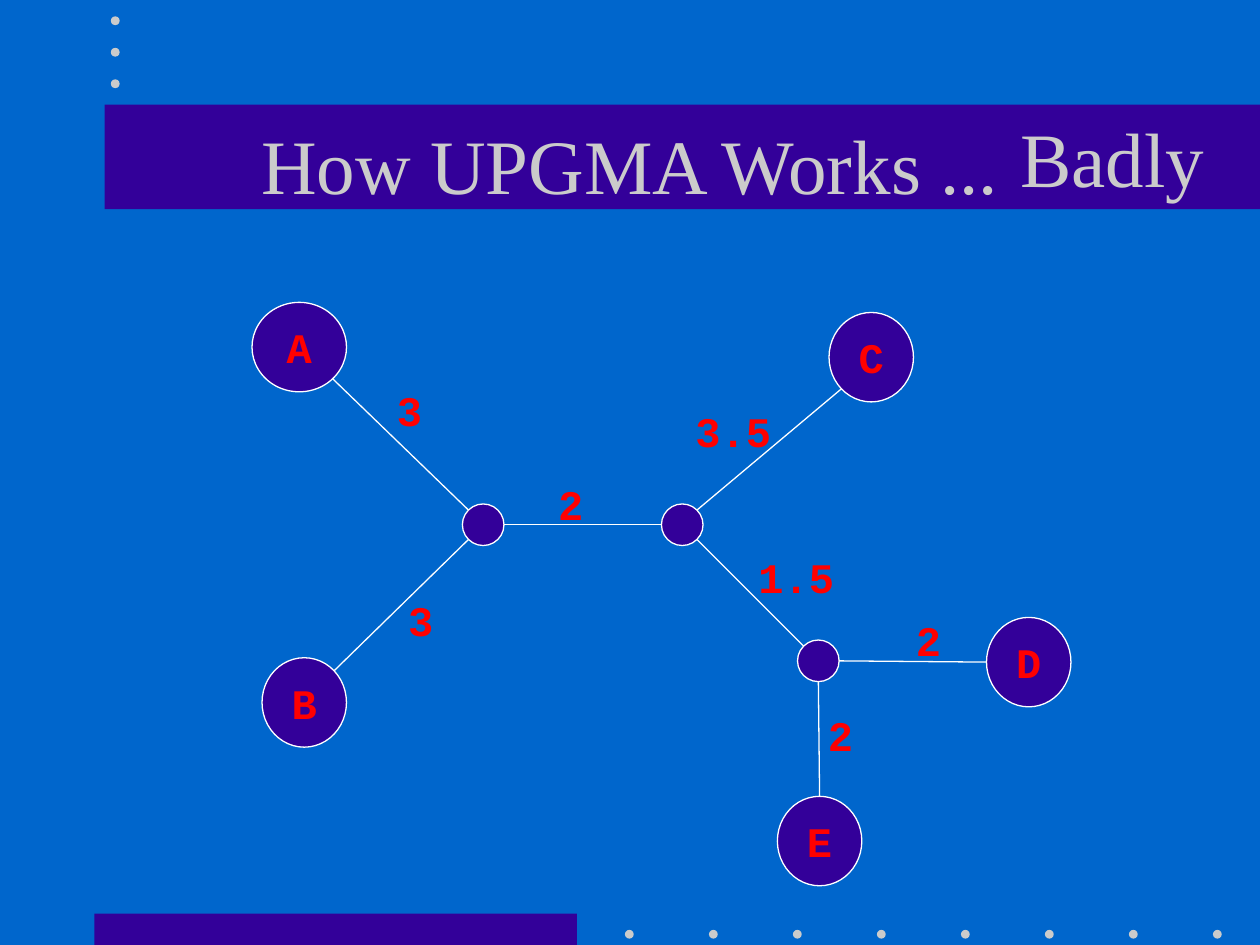
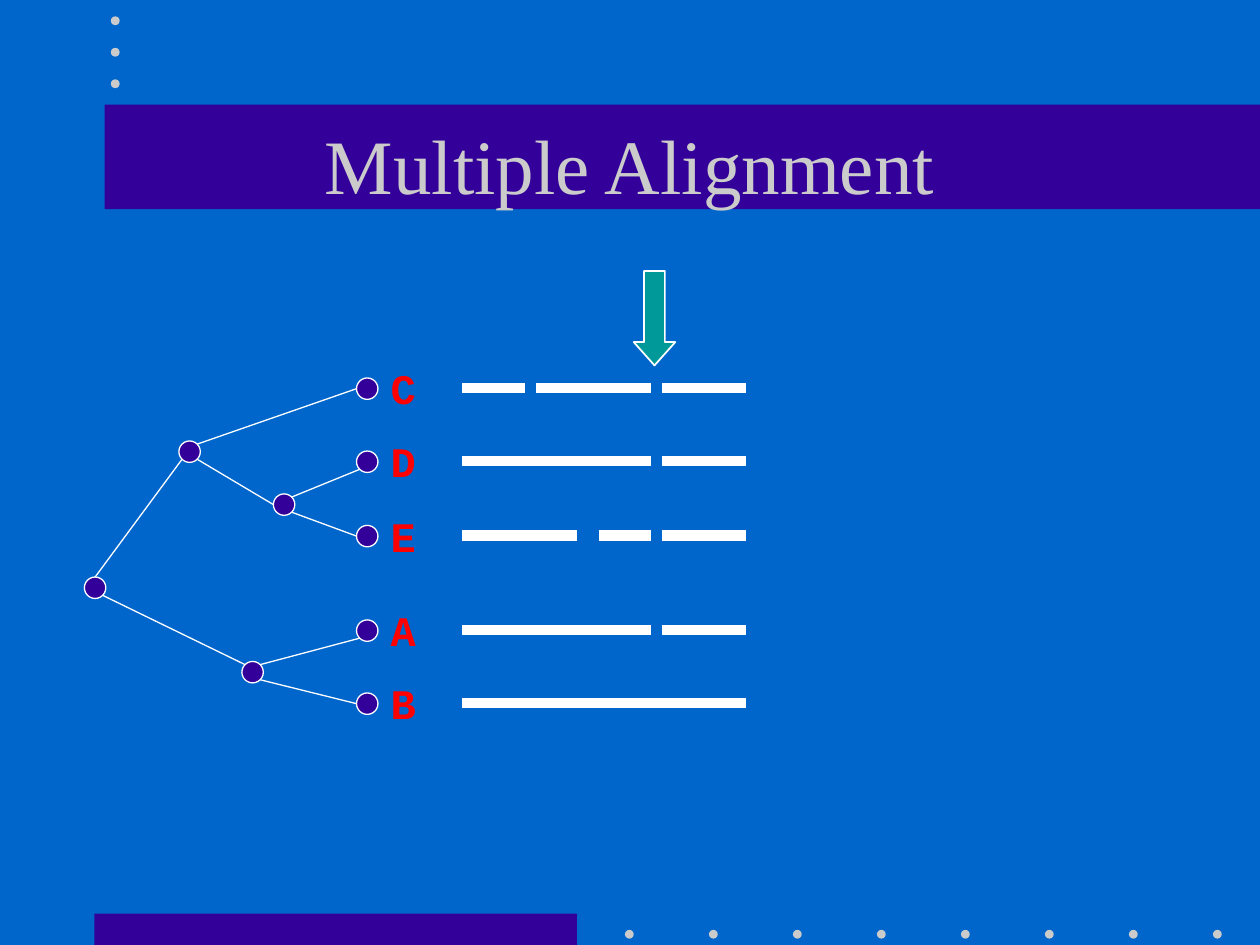
from math import cos, pi, sin

from lxml import etree
from pptx import Presentation
from pptx.dml.color import RGBColor
from pptx.enum.shapes import MSO_CONNECTOR, MSO_SHAPE
from pptx.enum.text import MSO_ANCHOR, PP_ALIGN
from pptx.oxml.ns import qn
from pptx.util import Inches, Pt

BLUE = RGBColor(0x00, 0x66, 0xCC)
PURPLE = RGBColor(0x33, 0x00, 0x99)
GREY = RGBColor(0xCB, 0xCB, 0xCB)
RED = RGBColor(0xFF, 0x00, 0x00)
WHITE = RGBColor(0xFF, 0xFF, 0xFF)
TEAL = RGBColor(0x00, 0x99, 0x99)

RECT = MSO_SHAPE.RECTANGLE
OVAL = MSO_SHAPE.OVAL
NODE = MSO_SHAPE.FLOWCHART_CONNECTOR
ARROW = MSO_SHAPE.DOWN_ARROW
STRAIGHT = MSO_CONNECTOR.STRAIGHT
MIDDLE, TOP = MSO_ANCHOR.MIDDLE, MSO_ANCHOR.TOP
CENTER, LEFT = PP_ALIGN.CENTER, PP_ALIGN.LEFT

SERIF, MONO = "Times New Roman", "Courier New"

# Where an edge meets a node, as an angle clockwise from the right
ANGLES = {"E": 0, "SE": pi / 4, "S": pi / 2, "SW": 3 * pi / 4,
          "W": pi, "NW": -3 * pi / 4, "N": -pi / 2, "NE": -pi / 4}


def add_part(slide, kind, box, fill, line=None):
    """Add a filled shape; line is the width of a white outline."""
    part = slide.shapes.add_shape(kind, *map(Inches, box))
    part.shadow.inherit = False
    part.fill.solid()
    part.fill.fore_color.rgb = fill
    if line:
        part.line.color.rgb = WHITE
        part.line.width = Pt(line)
    else:
        part.line.fill.background()
    return part


def add_line(slide, start, end, width=0.75):
    line = slide.shapes.add_connector(STRAIGHT, *map(Inches, (*start, *end)))
    line.line.color.rgb = WHITE
    line.line.width = Pt(width)
    etree.SubElement(line._element.spPr, qn("a:effectLst"))


def write(shape, text, size, font, color, bold=False,
          align=CENTER, anchor=MIDDLE, wrap=True):
    frame = shape.text_frame
    frame.word_wrap = wrap
    frame.vertical_anchor = anchor
    para = frame.paragraphs[0]
    para.alignment = align
    run = para.add_run()
    run.text = text
    run.font.name = font
    run.font.size = Pt(size)
    run.font.bold = bold
    run.font.color.rgb = color


def add_head(slide, text, box, **style):
    write(slide.shapes.add_textbox(*map(Inches, box)),
          text, 44, SERIF, GREY, **style)


def add_label(slide, text, left, top):
    width = 0.8 if len(text) > 1 else 0.4
    box = slide.shapes.add_textbox(*map(Inches, (left, top, width, 0.5)))
    write(box, text, 24, MONO, RED, bold=True, wrap=False)


def rim(box, side):
    """Return the point of an oval's rim on the given side."""
    left, top, width, height = box
    angle = ANGLES[side]
    return (left + width / 2 * (1 + cos(angle)),
            top + height / 2 * (1 + sin(angle)))


def join(slide, nodes, edges):
    for start, side, end, other in edges:
        add_line(slide, rim(nodes[start], side), rim(nodes[end], other))


def new_slide(deck, title):
    """Start a slide with the shared background, bands, dots and title."""
    slide = deck.slides.add_slide(deck.slide_layouts[6])
    slide.background.fill.solid()
    slide.background.fill.fore_color.rgb = BLUE
    # Bands
    add_part(slide, RECT, (0.75, 7.25, 3.83, 0.25), PURPLE)
    add_part(slide, RECT, (0.83, 0.83, 9.17, 0.83), PURPLE)
    # Dots along the bottom and down the top left
    dots = [(4.96 + i * 2 / 3, 7.38) for i in range(8)]
    dots += [(0.88, 0.13 + i / 4) for i in range(3)]
    for left, top in dots:
        add_part(slide, OVAL, (left, top, 0.07, 0.07), GREY)
    add_head(slide, title, (0.75, 0.67, 8.5, 1.25))
    return slide


def unrooted_tree(slide, x, y):
    leaves = {"A": (0, 0, 0.75), "B": (0.08, 2.82, 0.67),
              "C": (4.58, 0.08, 0.67), "D": (5.83, 2.5, 0.67),
              "E": (4.17, 3.92, 0.67)}
    hubs = {"AB": (1.67, 1.6), "CDE": (3.25, 1.6), "DE": (4.33, 2.68)}
    edges = [("B", "NE", "AB", "SW"), ("A", "SE", "AB", "NW"),
             ("AB", "E", "CDE", "W"), ("CDE", "NE", "C", "SW"),
             ("CDE", "SE", "DE", "NW"), ("DE", "S", "E", "N"),
             ("DE", "E", "D", "W")]
    weights = [("3", 1.05, 0.6), ("3", 1.14, 2.27), ("2", 2.33, 1.35),
               ("3.5", 3.42, 0.77), ("1.5", 3.92, 1.93),
               ("2", 5.17, 2.43), ("2", 4.47, 3.18)]
    # Nodes
    nodes = {name: (x + left, y + top, width, 0.71)
             for name, (left, top, width) in leaves.items()}
    nodes |= {name: (x + left, y + top, 0.33, 0.33)
              for name, (left, top) in hubs.items()}
    for name, box in nodes.items():
        node = add_part(slide, NODE, box, PURPLE, 0.75)
        if name in leaves:
            write(node, name, 24, MONO, RED, bold=True)
    # Edges and their lengths
    join(slide, nodes, edges)
    for text, left, top in weights:
        add_label(slide, text, x + left, y + top)


def rooted_tree(slide, x, y, rows):
    hubs = {"root": (0, 1.75), "CDE": (0.75, 0.67),
            "DE": (1.5, 1.09), "AB": (1.25, 2.42)}
    edges = [("CDE", "NE", "C", "W"), ("CDE", "SE", "DE", "W"),
             ("DE", "NE", "D", "SW"), ("DE", "SE", "E", "W"),
             ("CDE", "SW", "root", "N"), ("root", "SE", "AB", "NW"),
             ("AB", "NE", "A", "SW"), ("AB", "SE", "B", "W")]
    # Nodes
    spots = hubs | {name: (2.16, top) for name, top in rows.items()}
    nodes = {name: (x + left, y + top, 0.17, 0.17)
             for name, (left, top) in spots.items()}
    for box in nodes.values():
        add_part(slide, OVAL, box, PURPLE, 0.75)
    # Edges and leaf names
    join(slide, nodes, edges)
    for name, top in rows.items():
        add_label(slide, name, x + 2.33, y + top - 0.17)


def alignment(slide, x, y, rows):
    tail = (1.58, 2.25)
    spans = {"C": [(0, 0.5), (0.58, 1.5), tail],
             "D": [(0, 1.5), tail],
             "E": [(0, 0.91), (1.08, 1.5), tail],
             "A": [(0, 1.5), tail],
             "B": [(0, 2.25)]}
    # Sequences with gaps
    for name, parts in spans.items():
        level = y + rows[name] + 0.08
        for start, end in parts:
            add_line(slide, (x + start, level), (x + end, level), 6)
    # Arrow to the shared gap
    arrow = add_part(slide, ARROW, (x + 1.36, y - 0.68, 0.33, 0.75), TEAL, 1)
    arrow.adjustments[1] = 0.56


def main():
    deck = Presentation()
    deck.slide_width, deck.slide_height = Inches(10), Inches(7.5)

    slide = new_slide(deck, "How UPGMA Works ...")
    unrooted_tree(slide, 2, 2.4)
    add_head(slide, "Badly", (8, 0.83, 1.67, 0.84), align=LEFT, anchor=TOP)

    slide = new_slide(deck, "Multiple Alignment")
    rows = {"C": 0.17, "D": 0.75, "E": 1.34, "A": 2.09, "B": 2.67}
    rooted_tree(slide, 0.67, 2.83, rows)
    alignment(slide, 3.67, 2.83, rows)

    deck.save("out.pptx")


if __name__ == "__main__":
    main()
